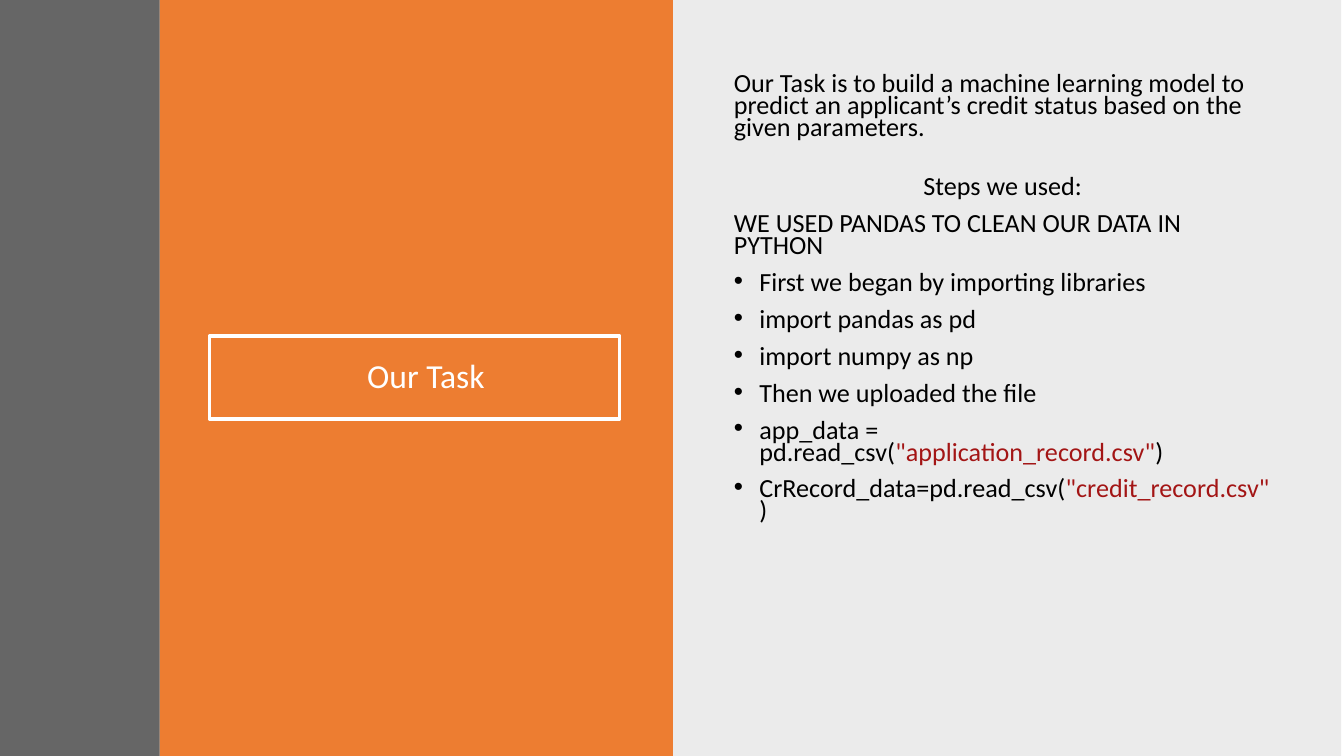
from lxml.etree import SubElement
from pptx import Presentation
from pptx.dml.color import RGBColor
from pptx.enum.shapes import MSO_SHAPE
from pptx.enum.text import MSO_ANCHOR, MSO_AUTO_SIZE, PP_ALIGN
from pptx.oxml.ns import qn
from pptx.util import Cm, Pt

BLACK = RGBColor(0x00, 0x00, 0x00)
WHITE = RGBColor(0xFF, 0xFF, 0xFF)
ORANGE = RGBColor(0xED, 0x7D, 0x31)
GREY = RGBColor(0x40, 0x40, 0x40)
CODE_RED = RGBColor(0xA3, 0x15, 0x15)
FONT = "Calibri"
HEIGHT = Cm(14.29)


def place(holder, left, top, width, height, anchor):
    """Move a placeholder to the front and prepare its text frame."""
    holder.left, holder.top, holder.width, holder.height = left, top, width, height
    holder.element.getparent().append(holder.element)
    frame = holder.text_frame
    frame.word_wrap = True
    frame.auto_size = MSO_AUTO_SIZE.NONE
    frame.vertical_anchor = anchor
    frame.margin_left = frame.margin_right = Cm(0.18)
    frame.margin_top = frame.margin_bottom = Cm(0.1)
    return frame


def add_run(paragraph, text, size, color):
    run = paragraph.add_run()
    run.text = text
    run.font.name = FONT
    run.font.size = Pt(size)
    run.font.color.rgb = color


prs = Presentation()
prs.slide_width, prs.slide_height = Cm(25.4), HEIGHT
slide = prs.slides.add_slide(prs.slide_layouts[1])

# Background panels: left, width, colour, opacity in percent
panels = [
    (12.65, 12.7, BLACK, 8),
    (3.02, 9.7, ORANGE, 100),
    (0, 3.02, GREY, 80),
]
for left, width, color, opacity in panels:
    panel = slide.shapes.add_shape(MSO_SHAPE.RECTANGLE, Cm(left), 0, Cm(width), HEIGHT)
    panel.shadow.inherit = False
    panel.line.fill.background()
    panel.fill.solid()
    panel.fill.fore_color.rgb = color
    if opacity < 100:
        tint = panel.element.spPr.find(qn("a:solidFill")).find(qn("a:srgbClr"))
        SubElement(tint, qn("a:alpha"), val=str(opacity * 1000))

# Framed title
title = slide.shapes.title
title.line.color.rgb = WHITE
title.line.width = Pt(2)
title_frame = place(title, Cm(3.96), Cm(6.35), Cm(7.75), Cm(1.57), MSO_ANCHOR.MIDDLE)
heading = title_frame.paragraphs[0]
heading.alignment = PP_ALIGN.CENTER
heading.line_spacing = 0.9
heading._p.get_or_add_pPr().set("marL", str(Cm(0.43)))
add_run(heading, "Our Task", 18, WHITE)

# Task and steps: alignment, space before, bulleted, runs
LEFT, CENTER = PP_ALIGN.LEFT, PP_ALIGN.CENTER
steps = [
    (LEFT, 0, False, [("Our Task is to build a machine learning model to predict an "
                       "applicant’s credit status based on the given parameters.", BLACK)]),
    (CENTER, 20, False, [("Steps we used:", BLACK)]),
    (LEFT, 8, False, [("WE USED PANDAS TO CLEAN OUR DATA IN PYTHON", BLACK)]),
    (LEFT, 8, True, [("First we began by importing libraries", BLACK)]),
    (LEFT, 8, True, [("import pandas as pd", BLACK)]),
    (LEFT, 8, True, [("import numpy as np", BLACK)]),
    (LEFT, 8, True, [("Then we uploaded the file", BLACK)]),
    (LEFT, 8, True, [("app_data = pd.read_csv(", BLACK),
                     ('"application_record.csv"', CODE_RED), (")", BLACK)]),
    (LEFT, 8, True, [("CrRecord_data=pd.read_csv(", BLACK),
                     ('"credit_record.csv"', CODE_RED), (")", BLACK)]),
]
body_frame = place(slide.placeholders[1], Cm(13.69), Cm(1.32), Cm(10.52), Cm(11.2),
                   MSO_ANCHOR.TOP)
for number, (alignment, space, bulleted, runs) in enumerate(steps):
    step = body_frame.paragraphs[0] if number == 0 else body_frame.add_paragraph()
    step.alignment = alignment
    step.line_spacing = 0.7
    step.space_before = Pt(space)
    indent = Cm(0.48) if bulleted else 0
    properties = step._p.get_or_add_pPr()
    properties.set("marL", str(indent))
    properties.set("indent", str(-indent))
    if bulleted:
        bullet_color = SubElement(properties, qn("a:buClr"))
        SubElement(bullet_color, qn("a:srgbClr"), val=str(BLACK))
        SubElement(properties, qn("a:buFont"), typeface="Arial")
        SubElement(properties, qn("a:buChar"), char="•")
    else:
        SubElement(properties, qn("a:buNone"))
    for text, color in runs:
        add_run(step, text, 14, color)

prs.save("out.pptx")
